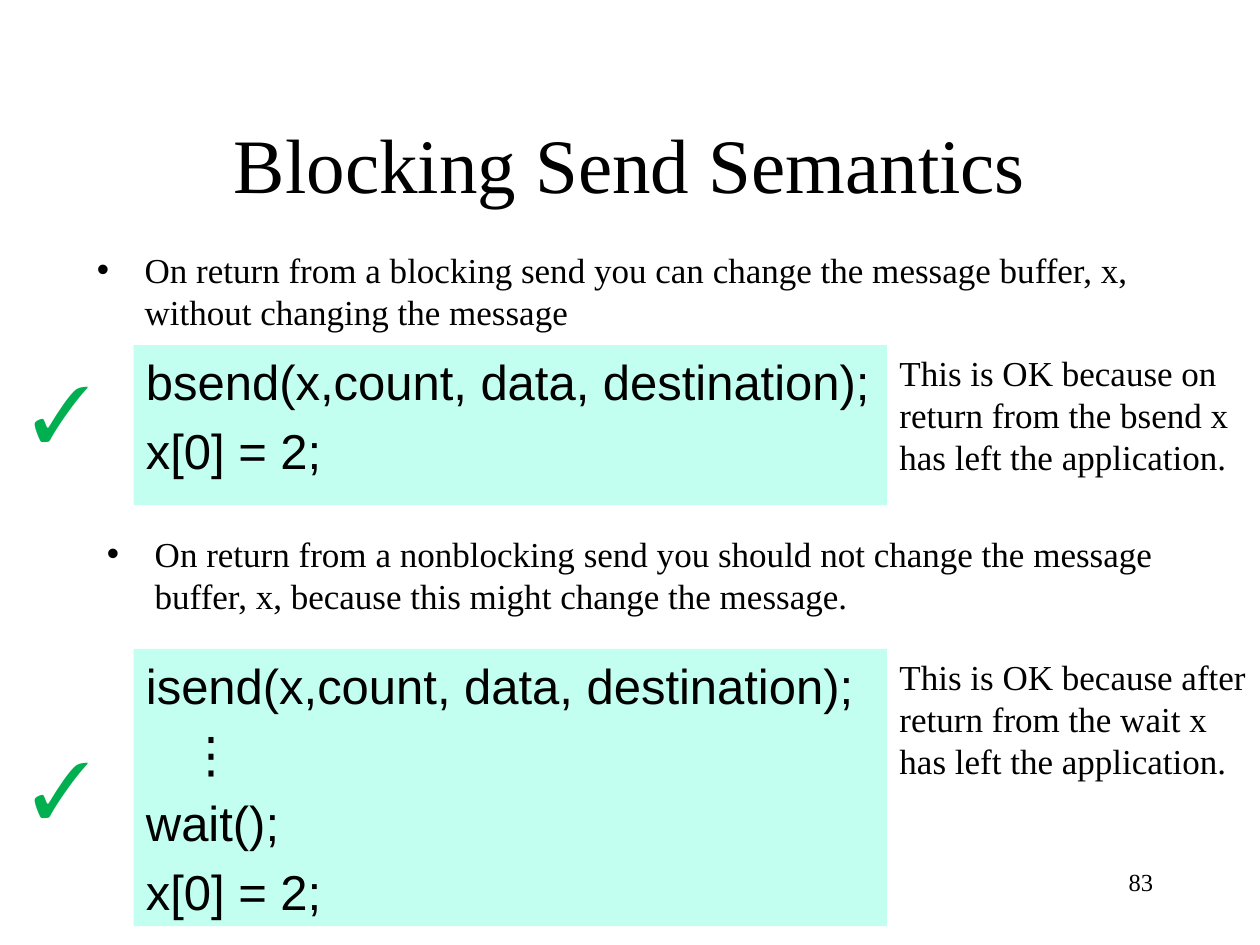
from lxml import etree
from pptx import Presentation, util as u
from pptx.dml.color import RGBColor
from pptx.enum import shapes, text
from pptx.oxml import ns

COLUMN = ROW = u.Inches(0.1)
BODY = {"name": "Times New Roman", "size": u.Pt(20)}
TITLE = {"name": "Times New Roman", "size": u.Pt(44)}
CODE = {"name": "Arial", "size": u.Pt(28)}
NUMBER = {"name": "Times New Roman", "size": u.Pt(14)}


def color(hex_text):
    """Return a colour from its hex string."""
    return RGBColor.from_string(hex_text)


def place(box):
    """Convert a box of grid columns and rows to slide lengths."""
    left, top, width, height = box
    return [int(n) for n in (left * COLUMN, top * ROW, width * COLUMN, height * ROW)]


def add_bullet(paragraph):
    """Give a paragraph a hanging round bullet."""
    properties = paragraph._p.get_or_add_pPr()
    indent = u.Inches(0.38)
    properties.set("marL", str(indent))
    properties.set("indent", str(-indent))
    etree.SubElement(properties, ns.qn("a:buFont")).set("typeface", "Arial")
    etree.SubElement(properties, ns.qn("a:buChar")).set("char", "•")


def write(shape, lines, font, hex_text="000000", align=text.PP_ALIGN.LEFT,
          anchor=text.MSO_ANCHOR.TOP, gap=0, bullet=False):
    """Fill a shape with formatted paragraphs."""
    frame = shape.text_frame
    frame.word_wrap = True
    frame.vertical_anchor = anchor
    frame.text = "\n".join(lines)
    for index, paragraph in enumerate(frame.paragraphs):
        paragraph.alignment = align
        paragraph.space_before = u.Pt(gap if index else 0)
        if bullet:
            add_bullet(paragraph)
        for name, value in font.items():
            setattr(paragraph.font, name, value)
        paragraph.font.color.rgb = color(hex_text)


def add_title(slide, box, words):
    """Place and format the title placeholder."""
    title = slide.shapes.title
    title.left, title.top, title.width, title.height = place(box)
    write(title, [words], TITLE, align=text.PP_ALIGN.CENTER, anchor=text.MSO_ANCHOR.MIDDLE)


def add_text(slide, box, words, font=BODY, **options):
    """Add a text box with one paragraph."""
    write(slide.shapes.add_textbox(*place(box)), [words], font, **options)


def add_code(slide, box, lines):
    """Add a tinted panel of code lines."""
    panel = slide.shapes.add_shape(shapes.MSO_SHAPE.RECTANGLE, *place(box))
    panel.shadow.inherit = False
    panel.fill.solid()
    panel.fill.fore_color.rgb = color("C2FFF0")
    panel.line.fill.background()
    write(panel, lines, CODE, gap=5.6)


def add_example(slide, box, lines, note, note_width, check_top):
    """Add a code panel with a check mark on its left and a note on its right."""
    left, top, width, height = box
    add_code(slide, box, lines)
    add_text(slide, (left + width, top, note_width, 11.1), note)
    add_text(slide, (left - 9, check_top, 9.1, 8.4), "✓", TITLE, hex_text="00B050")


def main():
    """Build and save the slide."""
    presentation = Presentation()
    presentation.slide_width, presentation.slide_height = 100 * COLUMN, 75 * ROW
    slide = presentation.slides.add_slide(presentation.slide_layouts[5])
    add_title(slide, (7.5, 6.7, 85, 12.5), "Blocking Send Semantics")
    add_text(slide, (6.7, 19.2, 90.6, 7.7),
             "On return from a blocking send you can change the message buffer, x, "
             "without changing the message", bullet=True)
    add_example(slide, (10.6, 27.4, 59.8, 12.7),
                ["bsend(x,count, data, destination);", "x[0] = 2;"],
                "This is OK because on return from the bsend x has left the application.",
                28.3, 28.4)
    add_text(slide, (7.5, 41.8, 90.6, 7.7),
             "On return from a nonblocking send you should not change the message "
             "buffer, x, because this might change the message.", bullet=True)
    add_example(slide, (10.6, 51.5, 59.8, 22),
                ["isend(x,count, data, destination);", "   ⋮", "wait();", "x[0] = 2;"],
                "This is OK because after return from the wait x has left the application.",
                29.5, 58.3)
    add_text(slide, (71.7, 68.3, 20.8, 5), "83", NUMBER, align=text.PP_ALIGN.RIGHT)
    presentation.save("out.pptx")


if __name__ == "__main__":
    main()
